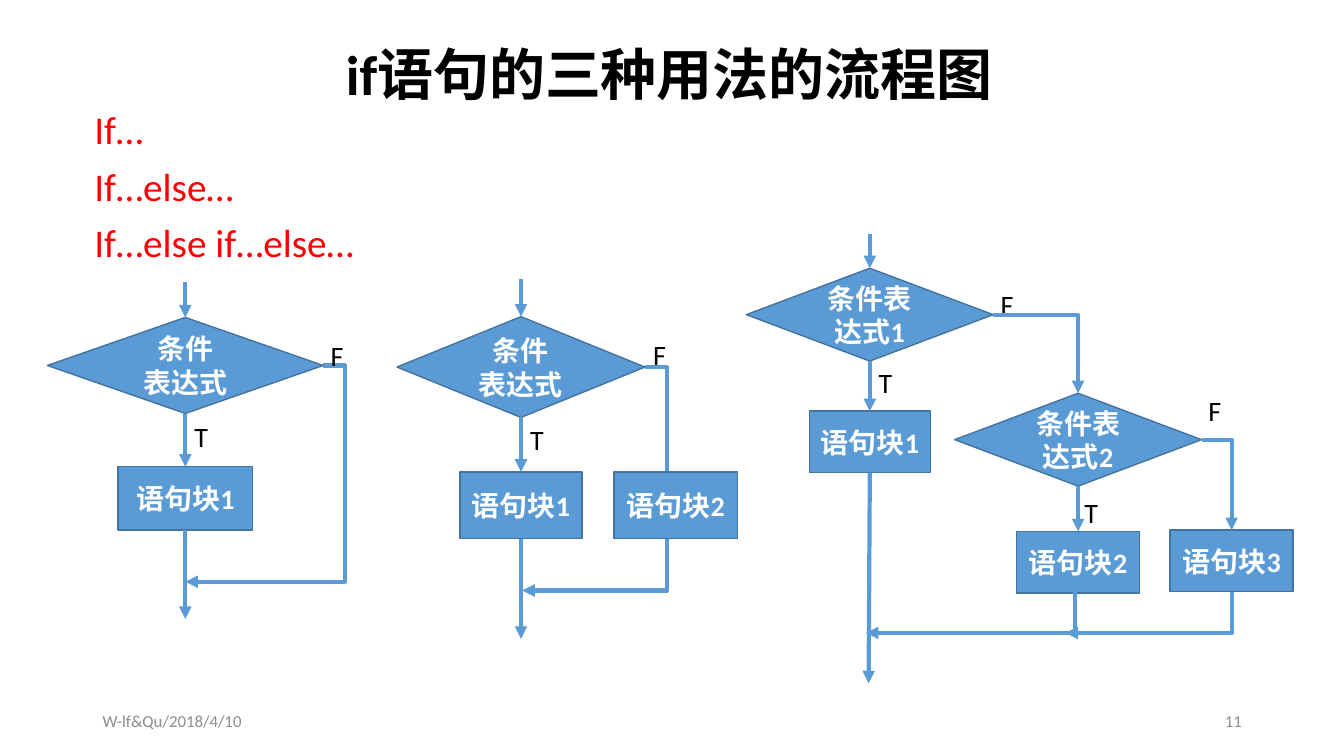
import lxml.etree
import pptx
import pptx.util
import pptx.dml.color
import pptx.enum.shapes
import pptx.enum.text
import pptx.oxml.ns

Cm, Pt, qn = pptx.util.Cm, pptx.util.Pt, pptx.oxml.ns.qn
SHAPE = pptx.enum.shapes.MSO_SHAPE
LINK = pptx.enum.shapes.MSO_CONNECTOR
ALIGN = pptx.enum.text.PP_ALIGN
ANCHOR = pptx.enum.text.MSO_ANCHOR

# Content: lengths in cm
BLUE, EDGE, WHITE, BLACK, RED, GREY = "5B9BD5", "43739E", "FFFFFF", "000000", "FF0000", "8C8C8C"
TITLE = "if语句的三种用法的流程图"
FORMS = ["If…", "If…else…", "If…else if…else…"]
FOOTER, PAGE = "W-lf&Qu/2018/4/10", "11"

# Each branch: centre x, entry y, decision and block (top, width, height, text),
# exit point, places of the T and F labels
BRANCHES = [
    dict(cx=4.67, entry=7.11, test=(8, 6.95, 2.42, "条件\n表达式"),
         block=(11.76, 3.4, 1.6, "语句块1"), exit=(4.67, 15.6),
         T=(4.65, 10.44), F=(8.08, 8.41)),
    dict(cx=13.13, entry=7.04, test=(7.98, 6.25, 2.54, "条件\n表达式"),
         block=(11.89, 3.07, 1.68, "语句块1"), exit=(13.13, 16.1),
         T=(13.11, 10.52), F=(16.21, 8.38)),
    dict(cx=21.92, entry=5.89, test=(6.76, 6.22, 2.34, "条件表达式1"),
         block=(10.36, 3.05, 1.55, "语句块1"), exit=(21.89, 17.22),
         T=(21.89, 9.09), F=(24.97, 7.11)),
    dict(cx=27.17, entry=None, test=(9.91, 6.22, 2.34, "条件表达式2"),
         block=(13.39, 3.1, 1.55, "语句块2"), exit=None,
         T=(27.08, 12.37), F=(30.2, 9.8)),
]
# False-side blocks: centre x, top, width, height, text
ELSE_BLOCKS = [(17.03, 11.89, 3.12, 1.68, "语句块2"), (31.04, 13.36, 3.1, 1.55, "语句块3")]
# False paths round the block: branch, x of the far side, end point
BYPASSES = [(0, 8.69, (4.67, 14.66)), (1, 16.81, (13.16, 14.88))]
# False paths to the next step: branch, end point
TURNS = [(2, (27.17, 9.91)), (3, (31.04, 13.36))]
# Paths back to the main line: arrow tip x, source x
MERGE_Y, MERGES = 15.95, [(21.82, 27.1), (26.85, 31.04)]

prs = pptx.Presentation()
prs.slide_width, prs.slide_height = Cm(33.87), Cm(19.05)
s = prs.slides.add_slide(prs.slide_layouts[6])


def rgb(value):
    return pptx.dml.color.RGBColor.from_string(value)


def write(sp, text, size, color, bold=False, align=ALIGN.LEFT, anchor=ANCHOR.TOP,
          wrap=True, spacing=None, before=0):
    tf = sp.text_frame
    tf.text = text
    tf.word_wrap = wrap
    tf.vertical_anchor = anchor
    for i, p in enumerate(tf.paragraphs):
        p.alignment = align
        if spacing:
            p.line_spacing = spacing
        if before and i:
            p.space_before = Pt(before)
        for r in p.runs:
            r.font.name, r.font.size, r.font.bold = "Calibri", Pt(size), bold
            r.font.color.rgb = rgb(color)


def text_box(x, y, w, h, text, size, color, **style):
    sp = s.shapes.add_textbox(Cm(x), Cm(y), Cm(w), Cm(h))
    write(sp, text, size, color, **style)


def node(kind, cx, top, w, h, text):
    sp = s.shapes.add_shape(kind, Cm(cx - w / 2), Cm(top), Cm(w), Cm(h))
    sp.shadow.inherit = False
    sp.fill.solid()
    sp.fill.fore_color.rgb = rgb(BLUE)
    sp.line.color.rgb = rgb(EDGE)
    sp.line.width = Pt(1)
    write(sp, text, 20, WHITE, bold=True, align=ALIGN.CENTER, anchor=ANCHOR.MIDDLE)


def arrow(start, end, preset=None, adjust=(), arrow_at="tailEnd"):
    kind = LINK.ELBOW if preset else LINK.STRAIGHT
    c = s.shapes.add_connector(kind, *map(Cm, start + end))
    c.line.color.rgb = rgb(BLUE)
    c.line.width = Pt(3)
    props = c._element.spPr
    if preset:
        geom = props.find(qn("a:prstGeom"))
        geom.set("prst", preset)
        guides = geom.find(qn("a:avLst"))
        for i, value in enumerate(adjust, 1):
            lxml.etree.SubElement(guides, qn("a:gd"), name=f"adj{i}",
                                  fmla=f"val {round(value * 100000)}")
    lxml.etree.SubElement(props.find(qn("a:ln")), qn(f"a:{arrow_at}"), type="triangle")
    lxml.etree.SubElement(props, qn("a:effectLst"))


def right_tip(branch):
    top, w, h, _ = branch["test"]
    return branch["cx"] + w / 2, top + h / 2


# Title, list and footer
text_box(6.17, 0.91, 21.39, 1.93, TITLE, 40, BLACK, bold=True,
         align=ALIGN.CENTER, anchor=ANCHOR.BOTTOM, spacing=0.9)
text_box(2.13, 2.67, 7.09, 4.17, "\n".join(FORMS), 28, RED, spacing=0.9, before=10)
text_box(2.34, 17.65, 7.62, 1.02, FOOTER, 12, GREY, anchor=ANCHOR.MIDDLE)
text_box(23.93, 17.65, 7.62, 1.02, PAGE, 12, GREY, align=ALIGN.RIGHT, anchor=ANCHOR.MIDDLE)

# False paths that pass behind the blocks
for index, far_x, end in BYPASSES:
    x, y = right_tip(BRANCHES[index])
    arrow((x, y), end, "bentConnector4", ((far_x - x) / (end[0] - x), 1))

# Decisions, blocks and the vertical main lines
for b in BRANCHES:
    cx, (top, _, height, _) = b["cx"], b["test"]
    block_top, _, block_height, _ = b["block"]
    node(SHAPE.FLOWCHART_DECISION, cx, *b["test"])
    node(SHAPE.FLOWCHART_PROCESS, cx, *b["block"])
    if b["entry"]:
        arrow((cx, b["entry"]), (cx, top))
    arrow((cx, top + height), (cx, block_top))
    if b["exit"]:
        arrow((cx, block_top + block_height), b["exit"])
    for label in "TF":
        text_box(*b[label], 0.8, 0.86, label, 20, BLACK, wrap=False)

for block in ELSE_BLOCKS:
    node(SHAPE.RECTANGLE, *block)

# Turns to the next step and merges into the main line
for index, end in TURNS:
    arrow(right_tip(BRANCHES[index]), end, "bentConnector2")
for tip_x, source_x in MERGES:
    arrow((tip_x, MERGE_Y), (source_x, 14.92), "bentConnector2", arrow_at="headEnd")

prs.save("out.pptx")
